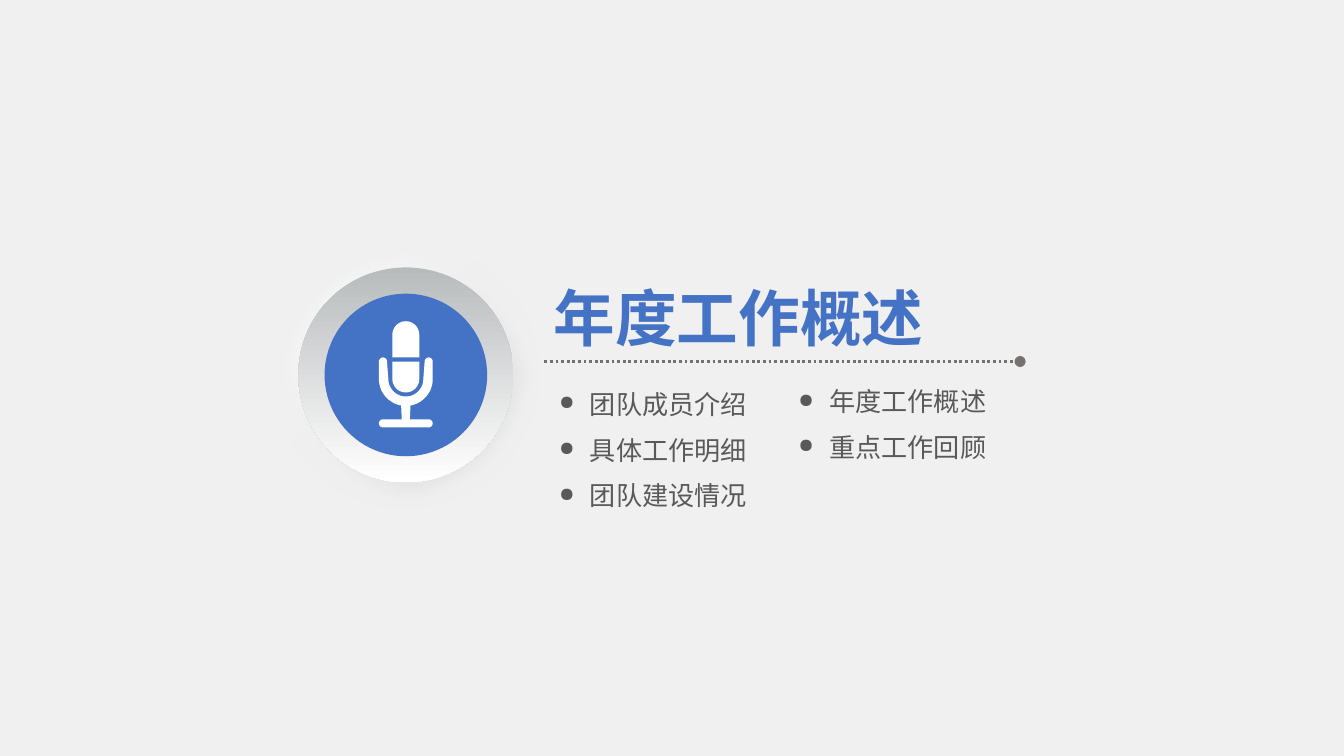
from math import cos, radians, sin

from lxml import etree
from pptx import Presentation
from pptx import util as u
from pptx.dml.color import RGBColor
from pptx.enum import dml, shapes, text
from pptx.oxml import parse_xml
from pptx.oxml.ns import nsdecls, qn

TITLE = "年度工作概述"
TOPIC_COLUMNS = [  # left, top of the first row, topics
    (4.09, 2.85, ["团队成员介绍", "具体工作明细", "团队建设情况"]),
    (5.87, 2.83, ["年度工作概述", "重点工作回顾"]),
]
ROW_STEP = 0.34
INDENT = 0.23
FONT = "Noto Sans CJK SC"

BACKGROUND = RGBColor(0xF0, 0xF0, 0xF0)
BLUE = RGBColor(0x44, 0x72, 0xC4)
WHITE = RGBColor(0xFF, 0xFF, 0xFF)
HALO_GRAY = RGBColor(0xD9, 0xD9, 0xD9)
RING_GRAY = RGBColor(0xB8, 0xBB, 0xBC)
RULE_GRAY = RGBColor(0x76, 0x71, 0x71)
TEXT_GRAY = RGBColor(0x59, 0x59, 0x59)

SLIDE_WIDTH = u.Inches(10)
SLIDE_HEIGHT = SLIDE_WIDTH * 9 // 16
BADGE_X, BADGE_Y = 3.02, 2.79
RULE_LEFT, RULE_RIGHT, RULE_Y = 4.05, 7.59, 2.69


def arc(x, y, radius, start, end, steps=24):
    """Points on an arc; angles run clockwise from the right."""
    angles = [radians(start + (end - start) * i / steps) for i in range(steps + 1)]
    return [(x + radius * cos(a), y + radius * sin(a)) for a in angles]


def microphone_outlines():
    """Head, cup and stand, with x measured from the microphone's axis."""
    head, arm, inner, outer, stem, cap = 0.1, 0.17, 0.13, 0.2, 0.03, 0.03
    arm_top, bowl, base_top = 2.69, 2.82, 3.12
    stand = (
        arc(-arm, arm_top, cap, 180, 360)
        + arc(0, bowl, inner, 180, 0)
        + arc(arm, arm_top, cap, 180, 360)
        + arc(0, bowl, outer, 0, 80)
        + [(stem, base_top)]
        + arc(arm, base_top + cap, cap, -90, 90)
        + arc(-arm, base_top + cap, cap, 90, 270)
        + [(-stem, base_top)]
        + arc(0, bowl, outer, 100, 180)
    )
    return [
        arc(0, 2.49, head, 180, 360) + [(head, 2.66), (-head, 2.66)],
        arc(0, bowl, head, 0, 180) + [(-head, arm_top), (head, arm_top)],
        stand,
    ]


def add_disc(slide, diameter, *colors):
    """A badge disc, solid for one colour and a downward gradient for two."""
    disc = slide.shapes.add_shape(
        shapes.MSO_SHAPE.OVAL,
        u.Inches(BADGE_X - diameter / 2), u.Inches(BADGE_Y - diameter / 2),
        u.Inches(diameter), u.Inches(diameter))
    disc.shadow.inherit = False
    disc.line.fill.background()
    if len(colors) == 1:
        disc.fill.solid()
        disc.fill.fore_color.rgb = colors[0]
    else:
        disc.fill.gradient()
        disc.fill.gradient_angle = 270
        for stop, color in zip(disc.fill.gradient_stops, colors):
            stop.color.rgb = color
    return disc


def add_halo(slide):
    """A soft disc, gray at lower right and white at upper left."""
    properties = add_disc(slide, 2.01, HALO_GRAY, WHITE)._element.spPr
    gradient = properties.find(qn("a:gradFill"))
    gradient.replace(gradient.find(qn("a:lin")), parse_xml(
        f'<a:path {nsdecls("a")} path="circle">'
        '<a:fillToRect l="100000" t="100000"/></a:path>'))
    etree.SubElement(properties.find(qn("a:effectLst")), qn("a:softEdge"),
                     rad=str(u.Inches(0.14)))


def add_microphone(slide):
    units = 1000  # freeform points are whole numbers, so count in thousandths
    builder = None
    for outline in microphone_outlines():
        points = [((BADGE_X + x) * units, y * units) for x, y in outline]
        if builder is None:
            builder = slide.shapes.build_freeform(
                *points[0], scale=u.Inches(1) / units)
        else:
            builder.move_to(*points[0])
        builder.add_line_segments(points[1:], close=True)
    microphone = builder.convert_to_shape()
    microphone.shadow.inherit = False
    microphone.fill.solid()
    microphone.fill.fore_color.rgb = WHITE
    microphone.line.fill.background()


def add_rule(slide):
    rule = slide.shapes.add_connector(
        shapes.MSO_CONNECTOR.STRAIGHT, u.Inches(RULE_LEFT), u.Inches(RULE_Y),
        u.Inches(RULE_RIGHT), u.Inches(RULE_Y))
    rule.line.color.rgb = RULE_GRAY
    rule.line.width = u.Pt(1.5)
    rule.line.dash_style = dml.MSO_LINE.ROUND_DOT
    properties = rule._element.spPr
    etree.SubElement(properties.find(qn("a:ln")), qn("a:tailEnd"), type="oval")
    etree.SubElement(properties, qn("a:effectLst"))


def add_label(slide, wording, box, size, color, bold=False, bullet=False):
    frame = slide.shapes.add_textbox(*map(u.Inches, box)).text_frame
    frame.word_wrap = False
    frame.auto_size = text.MSO_AUTO_SIZE.SHAPE_TO_FIT_TEXT
    frame.margin_left = frame.margin_right = u.Inches(0.07)
    frame.margin_top = frame.margin_bottom = u.Inches(0.04)
    paragraph = frame.paragraphs[0]
    if bullet:
        properties = paragraph._p.get_or_add_pPr()
        properties.set("marL", str(u.Inches(INDENT)))
        properties.set("indent", str(-u.Inches(INDENT)))
        etree.SubElement(properties, qn("a:buSzPct"), val="75000")
        etree.SubElement(properties, qn("a:buChar"), char="●")
    run = paragraph.add_run()
    run.text = wording
    run.font.size = u.Pt(size)
    run.font.bold = bold
    run.font.name = FONT
    run.font.color.rgb = color
    etree.SubElement(run._r.get_or_add_rPr(), qn("a:ea"), typeface=FONT)


def main():
    deck = Presentation()
    deck.slide_width, deck.slide_height = SLIDE_WIDTH, SLIDE_HEIGHT
    slide = deck.slides.add_slide(deck.slide_layouts[6])
    slide.background.fill.solid()
    slide.background.fill.fore_color.rgb = BACKGROUND

    add_rule(slide)
    add_halo(slide)
    add_disc(slide, 1.6, RING_GRAY, WHITE)
    add_disc(slide, 1.21, BLUE)
    add_microphone(slide)
    add_label(slide, TITLE, (RULE_LEFT, 2.04, 2.93, 0.63), 33, BLUE, bold=True)
    for left, top, topics in TOPIC_COLUMNS:
        for row, topic in enumerate(topics):
            box = (left, top + row * ROW_STEP, 1.57, 0.31)
            add_label(slide, topic, box, 14, TEXT_GRAY, bullet=True)

    deck.save("out.pptx")


if __name__ == "__main__":
    main()
